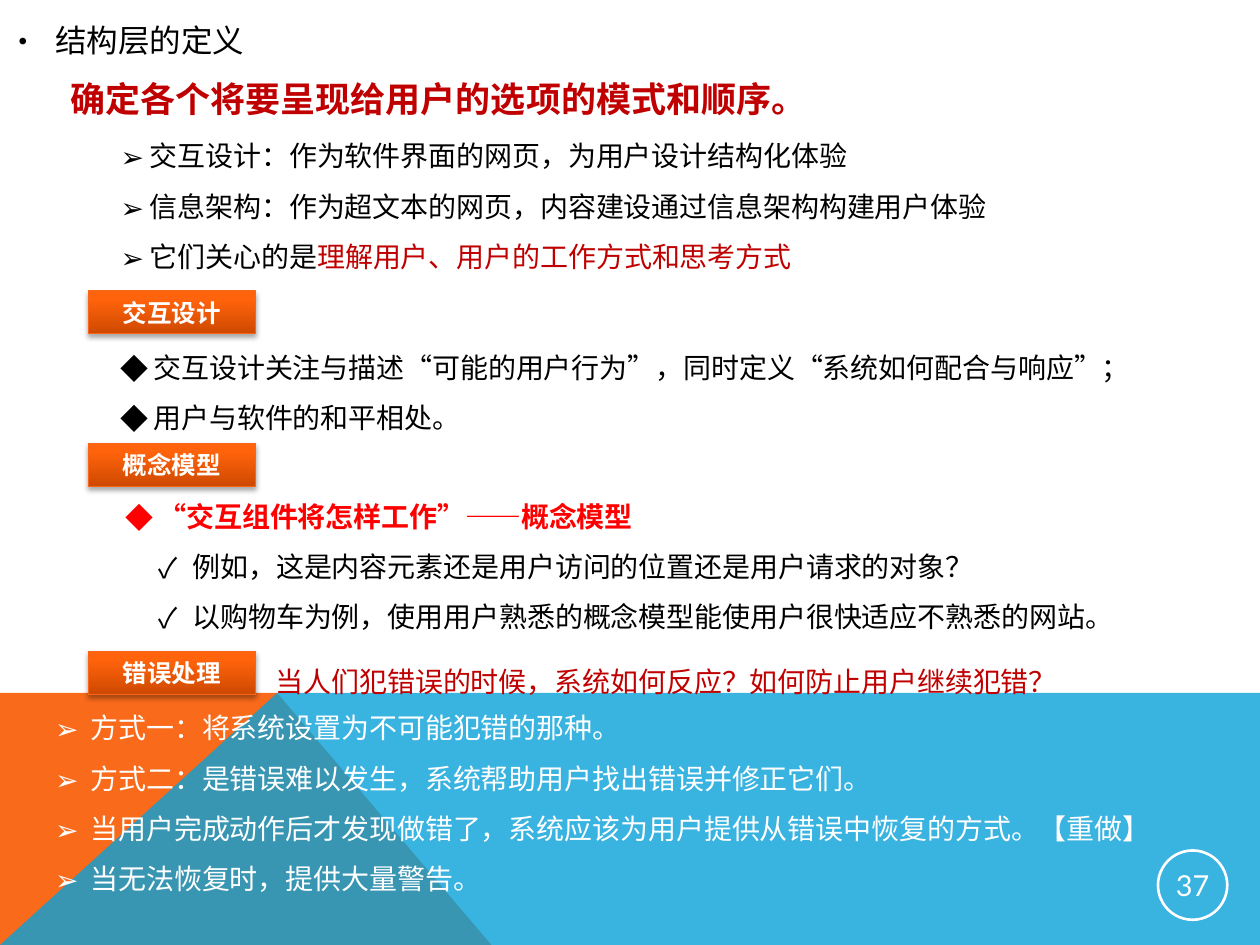
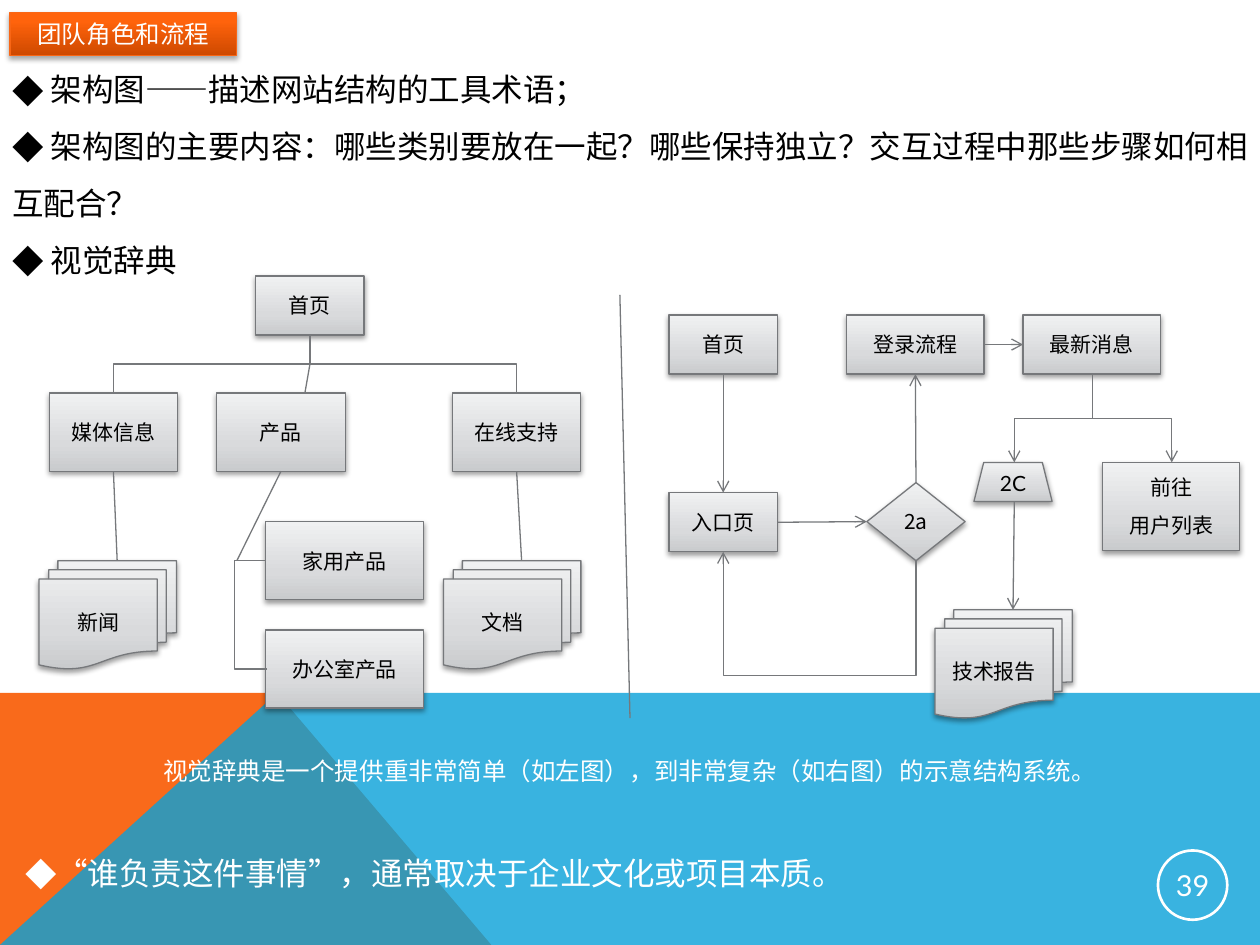
from dataclasses import dataclass

from pptx import Presentation
from pptx.dml.color import RGBColor as RGB
from pptx.enum.shapes import MSO_CONNECTOR as Conn, MSO_SHAPE as Shape
from pptx.enum.text import MSO_ANCHOR as Anchor, MSO_AUTO_SIZE as Fit, PP_ALIGN as Align
from pptx.oxml import parse_xml
from pptx.oxml.ns import nsdecls, qn
from pptx.util import Inches, Pt

NS = nsdecls("a")


@dataclass(frozen=True)
class Theme:
    """Colours, fonts and type sizes of the deck."""
    cjk: str = "Noto Sans CJK SC"
    latin: str = "Lato"
    ink: str = "000000"
    white: str = "FFFFFF"
    crimson: str = "C00000"
    red: str = "FF0000"
    orange: str = "F96A1B"
    blue: str = "08A1D9"
    tag_line: str = "F96615"
    tag_fill: tuple = ((0, "CE4900"), (80, "FF630C"), (100, "FF640E"))
    tag_shadow: tuple = (35, 1.8)
    grey: str = "76787B"
    node_fill: tuple = ((0, "C9CBCD"), (35, "D9DADC"), (100, "F0F1F2"))
    node_shadow: tuple = (38, 1.6)
    node: float = 12
    small: float = 14
    body: float = 16
    number: float = 16.5
    large: float = 18
    lead: float = 20
    thin: float = 0.75


T = Theme()


def cell(n):
    """Turn grid cells (100 columns by 75 rows) into a length."""
    return Inches(n / 10)


def write(tf, text, size=T.body, color=T.ink, bold=False, font=T.cjk,
          align=Align.LEFT, spacing=None, bullet=None, left=0, hang=0):
    """Add one paragraph; text is a string or a list of (string, colour)."""
    p = tf.paragraphs[0]
    if p.runs:
        p = tf.add_paragraph()
    p.alignment = align
    if spacing:
        p.line_spacing = spacing
    pPr = p._p.get_or_add_pPr()
    pPr.set("marL", str(cell(left)))
    pPr.set("indent", str(-cell(hang)))
    if bullet:
        pPr.append(parse_xml(f'<a:buFont {NS} typeface="{font}"/>'))
        pPr.append(parse_xml(f'<a:buChar {NS} char="{bullet}"/>'))
    for words, tint in [(text, color)] if isinstance(text, str) else text:
        r = p.add_run()
        r.text = words
        r.font.size, r.font.bold, r.font.name = Pt(size), bold, font
        r.font.color.rgb = RGB.from_string(tint)
        r._r.get_or_add_rPr().append(parse_xml(f'<a:ea {NS} typeface="{font}"/>'))


class Deck:
    """Builds slides in one style and keeps the current slide."""

    def __init__(self):
        self.prs = Presentation()
        self.prs.slide_width, self.prs.slide_height = cell(100), cell(75)

    def new_slide(self, number):
        """Start a slide with its bands and number badge."""
        self.shapes = self.prs.slides.add_slide(self.prs.slide_layouts[6]).shapes
        self.band(T.orange, [(0, 75), (0, 55.2), (22.3, 55.2), (39.1, 75)])
        self.band(T.blue, [(0, 75), (22.3, 55.2), (100, 55.3), (100, 75)], 80)
        s = self.shape(Shape.OVAL, (91.9, 67.5, 5.5, 5.5), T.white, 1.5)
        s.fill.background()
        write(s.text_frame, number, size=T.number, color=T.white, font=T.latin,
              align=Align.CENTER)

    def band(self, color, points, alpha=100):
        """Draw a filled outline through grid points."""
        fb = self.shapes.build_freeform(*points[0], scale=cell(1))
        fb.add_line_segments(points[1:], close=True)
        s = fb.convert_to_shape()
        s.shadow.inherit = False
        s.line.fill.background()
        s.fill.solid()
        s.fill.fore_color.rgb = RGB.from_string(color)
        s._element.spPr.find(".//" + qn("a:srgbClr")).append(
            parse_xml(f'<a:alpha {NS} val="{alpha * 1000}"/>'))

    def shape(self, kind, at, line, width=T.thin):
        """Add an outlined preset shape with centred text and no insets."""
        s = self.shapes.add_shape(kind, *map(cell, at))
        s.shadow.inherit = False
        s.line.color.rgb = RGB.from_string(line)
        s.line.width = Pt(width)
        tf = s.text_frame
        tf.word_wrap, tf.vertical_anchor = True, Anchor.MIDDLE
        tf.margin_left = tf.margin_right = tf.margin_top = tf.margin_bottom = 0
        return s

    def raised(self, kind, at, line, stops, shadow):
        """Add a shape with an upward gradient and a soft shadow."""
        s = self.shape(kind, at, line)
        spPr = s._element.spPr
        gs = "".join(f'<a:gs pos="{pos * 1000}"><a:srgbClr val="{c}"/></a:gs>'
                     for pos, c in stops)
        spPr.find(qn("a:prstGeom")).addnext(parse_xml(
            f'<a:gradFill {NS} rotWithShape="1"><a:gsLst>{gs}</a:gsLst>'
            '<a:lin ang="16200000" scaled="0"/></a:gradFill>'))
        alpha, dist = shadow
        spPr.find(qn("a:effectLst")).append(parse_xml(
            f'<a:outerShdw {NS} blurRad="{Pt(3.1)}" dist="{Pt(dist)}" dir="5400000" '
            f'rotWithShape="0"><a:srgbClr val="{T.ink}"><a:alpha val="{alpha * 1000}"/>'
            '</a:srgbClr></a:outerShdw>'))
        return s

    def tag(self, text, x, y, w=13.3, bold=True):
        """Add an orange section tag."""
        s = self.raised(Shape.RECTANGLE, (x, y, w, 3.4), T.tag_line, T.tag_fill,
                        T.tag_shadow)
        write(s.text_frame, text, size=T.small, color=T.white, bold=bold,
              align=Align.CENTER)

    def node(self, text, *at, kind=Shape.RECTANGLE, font=T.cjk):
        """Add a grey diagram node; later lines are set wider apart."""
        s = self.raised(kind, at, T.grey, T.node_fill, T.node_shadow)
        for i, words in enumerate(text.split("\n")):
            write(s.text_frame, words, size=T.node, font=font, align=Align.CENTER,
                  spacing=1.5 if i else None)
        return s

    def text(self, at, *lines, spacing=1.5, **fmt):
        """Add a text box; a line is text or (text, own format)."""
        s = self.shapes.add_textbox(*map(cell, at))
        tf = s.text_frame
        tf.word_wrap, tf.auto_size = True, Fit.SHAPE_TO_FIT_TEXT
        for line in lines:
            words, own = line if isinstance(line, tuple) else (line, {})
            write(tf, words, **{"spacing": spacing, **fmt, **own})

    def connector(self, kind, begin, end, arrow):
        """Add a thin grey connector between grid points."""
        c = self.shapes.add_connector(kind, *map(cell, begin + end))
        c.line.color.rgb = RGB.from_string(T.grey)
        c.line.width = Pt(T.thin)
        if arrow:
            c.line._get_or_add_ln().append(parse_xml(f'<a:tailEnd {NS} type="arrow"/>'))
        c._element.spPr.append(parse_xml(f"<a:effectLst {NS}/>"))
        return c

    def link(self, a, b, arrow=False):
        """Draw a straight line; an end is a point or (shape, side)."""
        joined = [not isinstance(end[0], (int, float)) for end in (a, b)]
        begin, end = ((0, 0) if j else e for j, e in zip(joined, (a, b)))
        c = self.connector(Conn.STRAIGHT, begin, end, arrow)
        if joined[0]:
            c.begin_connect(*a)
        if joined[1]:
            c.end_connect(*b)

    def elbow(self, a, b, bend, upright=True, arrow=False):
        """Draw a bent line that turns at row (or column) bend."""
        (x1, y1), (x2, y2) = a, b
        share = (bend - y1) / (y2 - y1) if upright else (bend - x1) / (x2 - x1)
        if upright:
            cx, cy, dx, dy = (x1 + x2) / 2, (y1 + y2) / 2, (x2 - x1) / 2, (y2 - y1) / 2
            a, b = (cx - dy, cy + dx), (cx + dy, cy - dx)
        c = self.connector(Conn.ELBOW, a, b, arrow)
        spPr = c._element.spPr
        if upright:
            spPr.find(qn("a:xfrm")).set("rot", "5400000")
        spPr.find(".//" + qn("a:avLst")).append(parse_xml(
            f'<a:gd {NS} name="adj1" fmla="val {round(share * 100000)}"/>'))


def structure_slide(d):
    """Definition of the structure layer."""
    d.new_slide("37")
    d.text((-0.4, -0.3, 41.3, 5.6), "结构层的定义", size=T.large, bullet="•",
           left=3.8, hang=3.8)
    d.text((8.6, 9.2, 90.2, 13.1),
           "交互设计：作为软件界面的网页，为用户设计结构化体验",
           "信息架构：作为超文本的网页，内容建设通过信息架构构建用户体验",
           [("它们关心的是", T.ink), ("理解用户、用户的工作方式和思考方式", T.crimson)],
           bullet="➢", left=2.3, hang=2.3)
    d.text((3.4, 4, 82, 5.5), "确定各个将要呈现给用户的选项的模式和顺序。",
           size=T.lead, color=T.crimson, bold=True, left=1.2)
    for name, row in (("交互设计", 23.1), ("概念模型", 35.2), ("错误处理", 51.7)):
        d.tag(name, 7, row)
    d.text((8.6, 26, 90.2, 9.1),
           "交互设计关注与描述“可能的用户行为”，同时定义“系统如何配合与响应”；",
           "用户与软件的和平相处。", bullet="◆", left=2.6, hang=2.6)
    check = dict(bullet="✓", left=5.3, hang=2.7)
    d.text((9, 37.8, 91.4, 13.1),
           ("“交互组件将怎样工作”——概念模型",
            dict(color=T.red, bold=True, bullet="◆", left=2.6, hang=2.6)),
           ("例如，这是内容元素还是用户访问的位置还是用户请求的对象？", check),
           ("以购物车为例，使用用户熟悉的概念模型能使用户很快适应不熟悉的网站。", check))
    d.text((20.9, 50.9, 80.3, 5),
           "当人们犯错误的时候，系统如何反应？如何防止用户继续犯错？", color=T.crimson)
    d.text((3.4, 54.6, 95.4, 17.2),
           "方式一：将系统设置为不可能犯错的那种。",
           "方式二：是错误难以发生，系统帮助用户找出错误并修正它们。",
           "当用户完成动作后才发现做错了，系统应该为用户提供从错误中恢复的方式。【重做】",
           "当无法恢复时，提供大量警告。",
           color=T.white, bullet="➢", left=2.8, hang=2.8)


def site_map(d):
    """Simple site map on the left."""
    docs = Shape.FLOWCHART_MULTIDOCUMENT
    d.node("首页", 20.3, 21.9, 8.6, 4.7)
    media, product, support = (
        d.node(name, x, 31.2, 10.2, 6.2)
        for name, x in (("媒体信息", 3.9), ("产品", 17.2), ("在线支持", 35.9)))
    for name, row in (("家用产品", 41.4), ("办公室产品", 50)):
        d.node(name, 21.1, row, 12.5, 6.2)
    for name, x in (("新闻", 3.1), ("文档", 35.2)):
        d.node(name, x, 44.5, 10.9, 8.6, kind=docs)
    for x in (9, 41):
        d.elbow((24.6, 26.6), (x, 31.2), 28.9)
    d.link((24.2, 31.2), (24.6, 28.9))
    d.elbow((21.1, 44.5), (21.2, 53.1), 18.6, upright=False)
    for parent, x in ((product, 18.8), (media, 9.3), (support, 41.4)):
        d.link((parent, 2), (x, 44.5))


def login_flow(d):
    """Complex flow on the right."""
    home = d.node("首页", 53.1, 25, 8.6, 4.7)
    entry = d.node("入口页", 53.1, 39.1, 8.6, 4.7)
    login, news = (d.node(name, x, 25, 10.9, 4.7)
                   for name, x in (("登录流程", 67.2), ("最新消息", 81.2)))
    choice = d.node("2a", 68.8, 38.3, 7.8, 6.2, kind=Shape.DIAMOND)
    d.node("2C", 77.3, 36.7, 6.2, 3.1, kind=Shape.TRAPEZOID, font=T.latin)
    d.node("技术报告", 74.2, 48.4, 10.9, 8.6, kind=Shape.FLOWCHART_MULTIDOCUMENT)
    d.node("前往\n用户列表", 87.5, 36.7, 10.9, 7)
    for a, b in (((home, 2), (entry, 0)), ((entry, 3), (choice, 1)),
                 ((choice, 0), (login, 2)), ((login, 3), (news, 1)),
                 ((80.5, 39.8), (80.4, 48.4))):
        d.link(a, b, arrow=True)
    d.elbow((72.7, 44.5), (57.4, 43.8), 53.6, arrow=True)
    for x in (80.5, 93):
        d.elbow((86.7, 29.7), (x, 36.7), 33.2, arrow=True)


def team_slide(d):
    """Team roles and process with two architecture diagrams."""
    d.new_slide("39")
    d.tag("团队角色和流程", 0.8, 1, 18, bold=False)
    d.text((0, 3.6, 101.9, 19.2),
           " 架构图——描述网站结构的工具术语；",
           " 架构图的主要内容：哪些类别要放在一起？哪些保持独立？交互过程中那些步骤如何相互配合？",
           " 视觉辞典", size=T.large, bullet="◆")
    site_map(d)
    d.link((49.2, 23.4), (50, 57))
    login_flow(d)
    d.text((8.6, 59.5, 82.8, 3.4),
           "视觉辞典是一个提供重非常简单（如左图），到非常复杂（如右图）的示意结构系统。",
           size=T.small, color=T.white, align=Align.CENTER, spacing=None)
    d.text((1, 65.8, 77.2, 5.6), "“谁负责这件事情”，通常取决于企业文化或项目本质。",
           size=T.large, color=T.white, bullet="◆")


def main():
    """Build and save the deck."""
    d = Deck()
    structure_slide(d)
    team_slide(d)
    d.prs.save("out.pptx")


if __name__ == "__main__":
    main()
